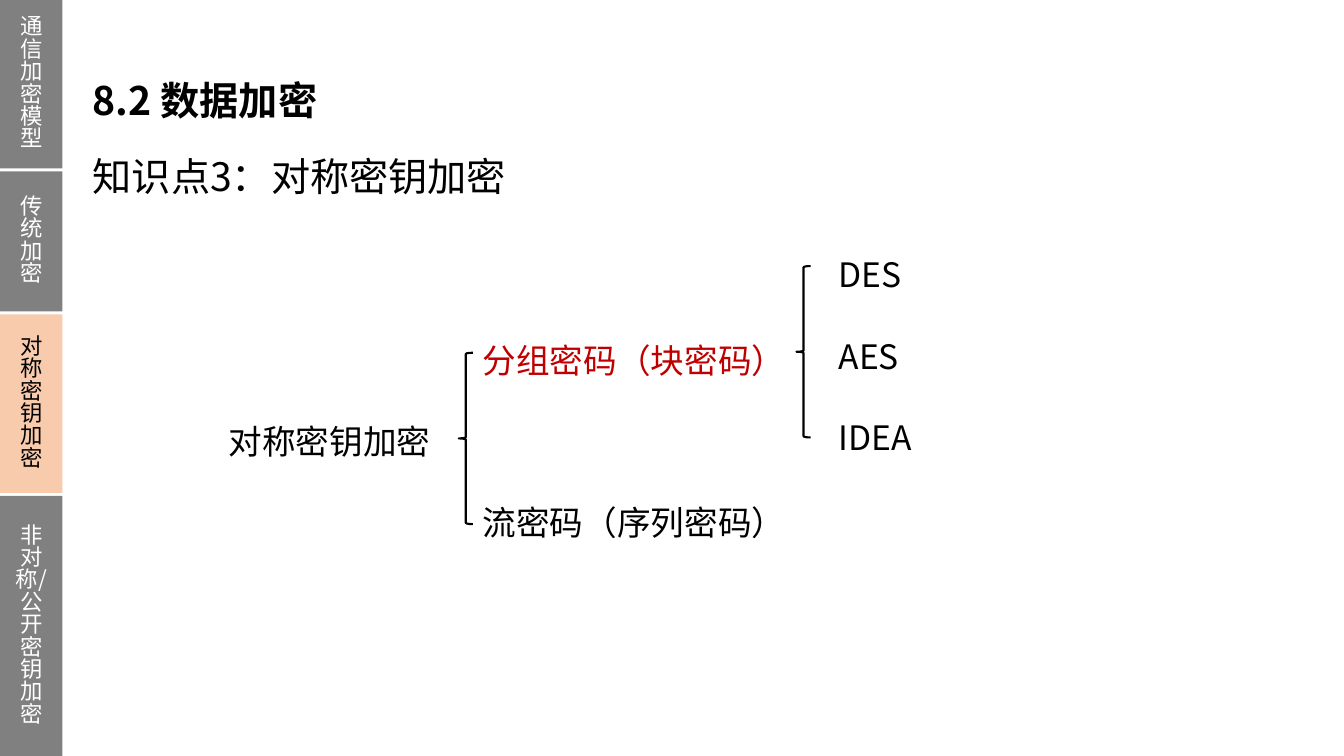
from dataclasses import dataclass

from pptx import Presentation
from pptx.dml.color import RGBColor
from pptx.enum.shapes import MSO_SHAPE
from pptx.enum.text import MSO_ANCHOR, PP_ALIGN
from pptx.oxml import parse_xml
from pptx.oxml.ns import nsdecls
from pptx.util import Inches, Pt


@dataclass(frozen=True)
class Theme:
    black: str = "000000"
    white: str = "FFFFFF"
    accent: str = "C00000"
    tab: str = "808080"
    active_tab: str = "F8CBAD"
    font: str = "Noto Sans CJK SC"
    diagram_font: str = "Noto Sans CJK JP"
    heading_size: int = 28
    diagram_size: int = 24
    tab_size: int = 16
    diagram_line: int = 29  # points per line in the tree


THEME = Theme()


def write_text(paragraph, text, size, color=THEME.black, font=THEME.font,
               bold=False, align=PP_ALIGN.LEFT, line_spacing=None, space_before=0):
    paragraph.alignment = align
    paragraph.line_spacing = line_spacing
    paragraph.space_before = Pt(space_before)
    run = paragraph.add_run()
    run.text = text
    run.font.size = Pt(size)
    run.font.bold = bold
    run.font.name = font
    run.font.color.rgb = RGBColor.from_string(color)
    run.font._element.append(parse_xml(f'<a:ea {nsdecls("a")} typeface="{font}"/>'))


def add_text_box(slide, left, top, width, height, side=0.1, top_inset=0.05,
                 anchor=MSO_ANCHOR.TOP):
    """Add an empty wrapped text box and return its text frame."""
    box = slide.shapes.add_textbox(Inches(left), Inches(top), Inches(width), Inches(height))
    frame = box.text_frame
    frame.word_wrap = True
    frame.vertical_anchor = anchor
    frame.margin_left = frame.margin_right = Inches(side)
    frame.margin_top = Inches(top_inset)
    return frame


def add_headings(slide, left, top):
    title = add_text_box(slide, left, top, 9.65, 0.59, side=0.12, top_inset=0.1)
    write_text(title.paragraphs[0], "8.2 数据加密", THEME.heading_size,
               bold=True, line_spacing=Pt(34))
    topic = add_text_box(slide, left, top + 0.46, 12.16, 1.04, side=0.12,
                         anchor=MSO_ANCHOR.MIDDLE)
    write_text(topic.paragraphs[0], "知识点3：对称密钥加密", THEME.heading_size,
               line_spacing=1.5)


def add_tree_level(slide, left, top, width, height, entries, font=THEME.font, blank_lines=0):
    """Stack (text, colour) entries, leaving the height of blank_lines between them."""
    frame = add_text_box(slide, left, top, width, height, top_inset=0.08)
    for index, (text, color) in enumerate(entries):
        paragraph = frame.add_paragraph() if index else frame.paragraphs[0]
        write_text(paragraph, text, THEME.diagram_size, color, font,
                   line_spacing=Pt(THEME.diagram_line),
                   space_before=blank_lines * THEME.diagram_line if index else 0)


def add_brace(slide, left, top):
    brace = slide.shapes.add_shape(MSO_SHAPE.LEFT_BRACE, Inches(left), Inches(top),
                                   Inches(0.14), Inches(1.7))
    brace.shadow.inherit = False
    brace.fill.background()
    brace.line.color.rgb = RGBColor.from_string(THEME.black)
    brace.line.width = Pt(1.5)


def add_cipher_tree(slide, left, top):
    add_tree_level(slide, left, top + 1.65, 2.84, 0.5,
                   [("对称密钥加密", THEME.black)], THEME.diagram_font)
    add_tree_level(slide, left + 2.52, top + 0.85, 4.34, 2.12,
                   [("分组密码（块密码）", THEME.accent), ("流密码（序列密码）", THEME.black)],
                   blank_lines=3)
    add_tree_level(slide, left + 6.05, top, 1.56, 2.12,
                   [(name, THEME.black) for name in ("DES", "AES", "IDEA")],
                   THEME.diagram_font, blank_lines=1)
    add_brace(slide, left + 2.38, top + 1.06)
    add_brace(slide, left + 5.73, top + 0.2)


def add_sidebar(slide, left, top, width, tabs, active, gap=0.03):
    for index, (text, height) in enumerate(tabs):
        tab = slide.shapes.add_shape(MSO_SHAPE.RECTANGLE, Inches(left), Inches(top),
                                     Inches(width), Inches(height))
        tab.shadow.inherit = False
        tab.fill.solid()
        tab.fill.fore_color.rgb = RGBColor.from_string(
            THEME.active_tab if index == active else THEME.tab)
        tab.line.fill.background()
        tab.text_frame.word_wrap = True
        tab.text_frame.vertical_anchor = MSO_ANCHOR.MIDDLE
        write_text(tab.text_frame.paragraphs[0], text, THEME.tab_size,
                   THEME.black if index == active else THEME.white,
                   align=PP_ALIGN.CENTER, line_spacing=Pt(THEME.tab_size))
        top += height + gap


def main():
    presentation = Presentation()
    presentation.slide_width = Inches(13.33)
    presentation.slide_height = Inches(7.5)
    slide = presentation.slides.add_slide(presentation.slide_layouts[6])
    add_headings(slide, 0.8, 0.65)
    add_cipher_tree(slide, 2.17, 2.44)
    add_sidebar(slide, 0, 0, 0.62, [
        ("通信加密模型", 1.67),
        ("传统加密", 1.39),
        ("对称密钥加密", 1.77),
        ("非对称/公开密钥加密", 2.58),
    ], active=2)
    presentation.save("out.pptx")


if __name__ == "__main__":
    main()
